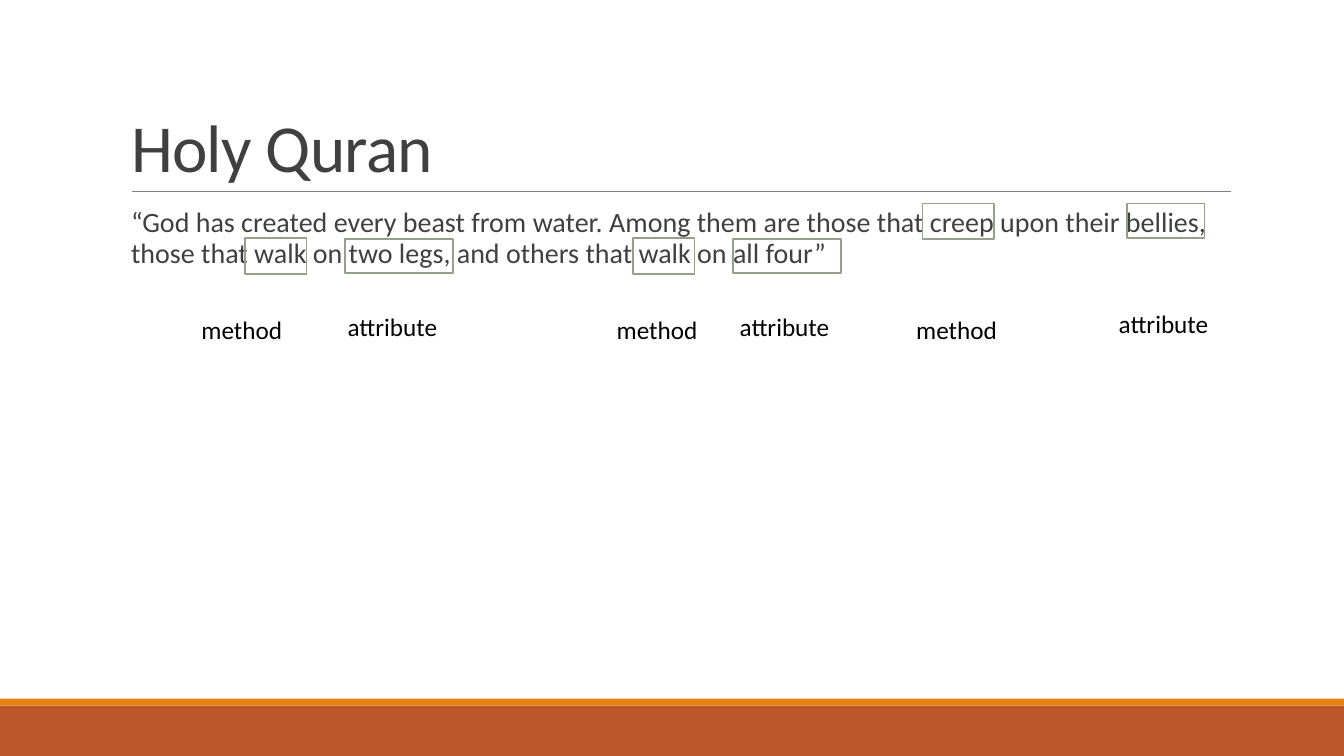
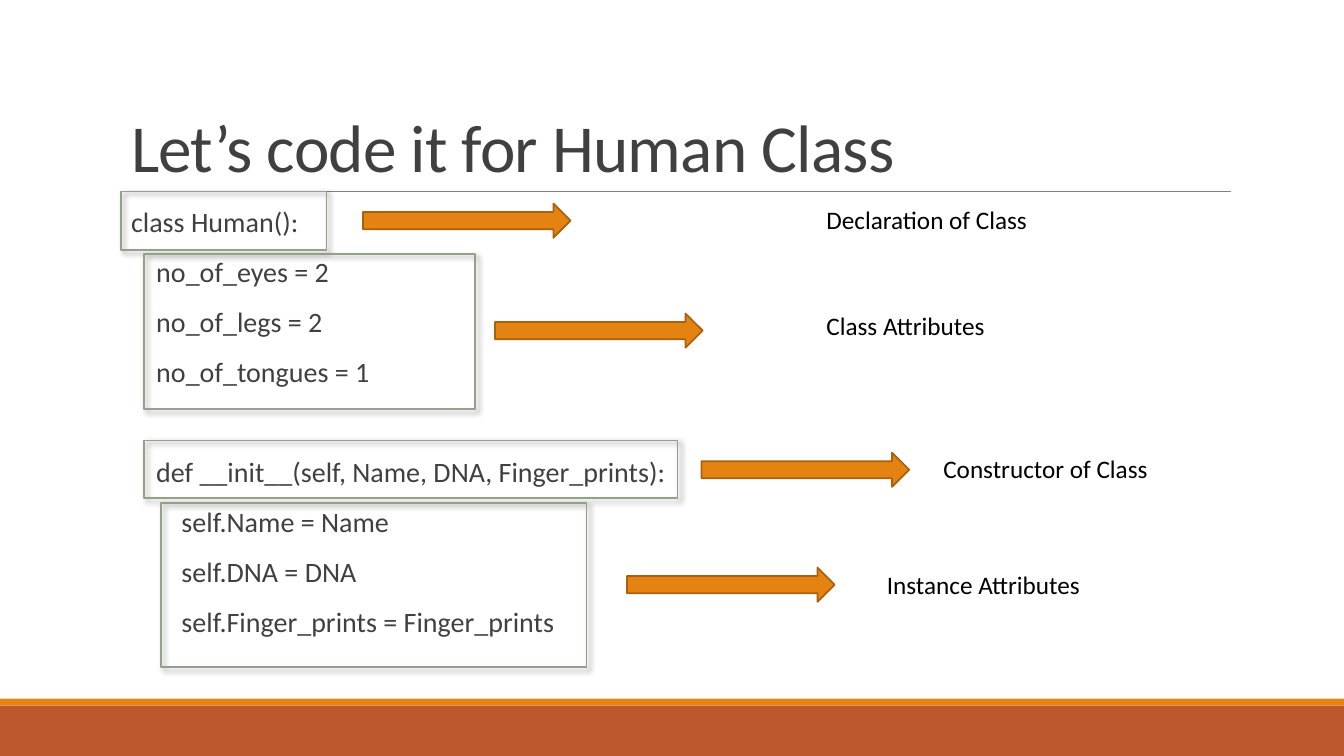
from dataclasses import dataclass
from typing import Any

from lxml import etree
from pptx import Presentation
from pptx.dml.color import RGBColor
from pptx.enum.shapes import MSO_CONNECTOR, MSO_SHAPE
from pptx.enum.text import MSO_ANCHOR, MSO_AUTO_SIZE, PP_ALIGN
from pptx.oxml.ns import qn
from pptx.util import Inches, Pt

RECT, ARROW = MSO_SHAPE.RECTANGLE, MSO_SHAPE.RIGHT_ARROW
LINE = MSO_CONNECTOR.STRAIGHT
LEFT = PP_ALIGN.LEFT
TOP, BOTTOM = MSO_ANCHOR.TOP, MSO_ANCHOR.BOTTOM
FIXED, GROW = MSO_AUTO_SIZE.NONE, MSO_AUTO_SIZE.SHAPE_TO_FIT_TEXT

# Shared style
WIDE, HIGH = Inches(13.33), Inches(7.5)
RUST, AMBER, BROWN = "BD582C", "E48312", "A9610D"
SAGE, GRAY, DARK, BLACK = "94A088", "808080", "404040", "000000"
FONT = "Calibri"
HEAD = {"alignment": LEFT, "line_spacing": 0.85}
LIST = {"alignment": LEFT, "line_spacing": 0.9,
        "space_before": Pt(12), "space_after": Pt(2)}
MARGIN, STEP = Inches(0.1), Inches(0.25)


def color(text):
    return RGBColor.from_string(text)


def apply(item, style):
    for name, value in style.items():
        setattr(item, name, value)


def place(x, y, w, h):
    """Turn percent shares of the slide into lengths."""
    return [round(part * size / 100)
            for part, size in zip((x, y, w, h), (WIDE, HIGH, WIDE, HIGH))]


@dataclass
class Deck:
    prs: Any
    slide: Any = None

    def start(self, title):
        """Add a slide with its title, bands and rule."""
        self.slide = self.prs.slides.add_slide(self.prs.slide_layouts[1])
        self.shape(RECT, (0, 93.33, 100, 6.67), RUST)
        self.shape(RECT, (0, 92.4, 100, 0.93), AMBER)
        self.rule(9.83, 91.58, 25.33)
        head = self.slide.shapes.title
        self.move(head, (9, 4.13, 82.5, 21.2))
        apply(head.text_frame, {"vertical_anchor": BOTTOM, "auto_size": FIXED})
        self.text(head.text_frame.paragraphs[0], title, 48, DARK, HEAD)
        for prop in head.element.iter(qn("a:rPr")):
            prop.set("spc", "-50")

    def move(self, shape, spot):
        apply(shape, dict(zip(("left", "top", "width", "height"), place(*spot))))

    def text(self, para, words, size, tint, style):
        run = para.add_run()
        run.text = words
        apply(run.font, {"name": FONT, "size": Pt(size)})
        run.font.color.rgb = color(tint)
        apply(para, style)

    def body(self, lines):
        """Fill the body with (indent level, words, space before) lines."""
        shape = self.slide.placeholders[1]
        self.move(shape, (9, 26.93, 82.5, 58.67))
        frame = shape.text_frame
        apply(frame, {"margin_left": 0, "margin_right": 0,
                      "vertical_anchor": TOP, "auto_size": FIXED})
        for pos, (level, words, gap) in enumerate(lines):
            para = frame.add_paragraph() if pos else frame.paragraphs[0]
            self.text(para, words, 20, DARK, LIST | {"space_before": Pt(gap)})
            prop = para._p.get_or_add_pPr()
            prop.set("marL", str(MARGIN + level * STEP))
            prop.set("indent", "0")
            etree.SubElement(prop, qn("a:buNone"))

    def shape(self, kind, spot, fill=None, edge=None):
        item = self.slide.shapes.add_shape(kind, *place(*spot))
        item.shadow.inherit = False
        if fill:
            item.fill.solid()
            item.fill.fore_color.rgb = color(fill)
        else:
            item.fill.background()
        if edge:
            item.line.color.rgb = color(edge)
            item.line.width = Pt(1.25)
        else:
            item.line.fill.background()
        return item

    def frame(self, spot, shade=False):
        """Outline a part of the text, with a soft shadow if asked."""
        item = self.shape(RECT, spot, edge=SAGE)
        if shade:
            effect = item.element.spPr.find(qn("a:effectLst"))
            cast = etree.SubElement(effect, qn("a:outerShdw"), {
                "blurRad": str(Pt(4)), "dist": str(Pt(3)),
                "dir": str(45 * 60000), "algn": "tl", "rotWithShape": "0"})
            tint = etree.SubElement(cast, qn("a:srgbClr"), val=BLACK)
            etree.SubElement(tint, qn("a:alpha"), val="40000")

    def arrow(self, x, y):
        self.shape(ARROW, (x, y, 15.45, 4.53), AMBER, BROWN)

    def rule(self, start, end, y):
        x, top, stop, _ = place(start, y, end, 0)
        line = self.slide.shapes.add_connector(LINE, x, top, stop, top)
        line.line.color.rgb = color(GRAY)
        line.line.width = Pt(0.5)
        etree.SubElement(line.element.spPr, qn("a:effectLst"))

    def label(self, words, x, y, w):
        box = self.slide.shapes.add_textbox(*place(x, y, w, 5.33))
        apply(box.text_frame, {"word_wrap": True, "auto_size": GROW})
        self.text(box.text_frame.paragraphs[0], words, 18, BLACK, {})


prs = Presentation()
apply(prs, {"slide_width": WIDE, "slide_height": HIGH})
deck = Deck(prs)

# Slide 1: verse with its methods and attributes
deck.start("Holy Quran")
deck.body([(0, "“God has created every beast from water. Among them are those "
               "that creep upon their bellies, those that walk on two legs, "
               "and others that walk on all four”", 12)])
for x in (25.65, 54.53):
    deck.frame((x, 31.6, 8.03, 4.53))
for x in (18.23, 47.1):
    deck.frame((x, 31.47, 4.58, 4.8))
deck.frame((68.63, 26.93, 5.33, 4.67))
deck.frame((83.85, 26.93, 5.78, 4.53))
for x in (14.25, 45.15, 67.43):
    deck.label("method", x, 40.93, 8.63)
for x, y in ((25.13, 40.53), (54.3, 40.53), (82.5, 40.13)):
    deck.label("attribute", x, y, 8.63)

# Slide 2: class code with its parts named
deck.start("Let’s code it for Human Class")
deck.body([
    (0, "class Human():", 12),
    (1, "no_of_eyes = 2", 12),
    (1, "no_of_legs = 2", 12),
    (1, "no_of_tongues = 1", 12),
    (1, "def __init__(self, Name, DNA, Finger_prints):", 48),
    (2, "self.Name = Name", 12),
    (2, "self.DNA = DNA", 12),
    (2, "self.Finger_prints = Finger_prints", 12),
])
# Each part: code frame, arrow place, label and its place
PARTS = [
    ((9, 25.33, 15.3, 7.73), (27, 26.93),
     "Declaration of Class", (60.75, 26.4)),
    ((10.73, 33.6, 24.6, 20.53), (36.83, 41.47),
     "Class Attributes", (60.75, 40.4)),
    ((10.73, 58.27, 39.68, 7.6), (52.2, 59.87),
     "Constructor of Class", (69.45, 59.33)),
    ((12, 66.53, 31.65, 21.73), (46.65, 75.07),
     "Instance Attributes", (65.25, 74.67)),
]
for code, tip, name, spot in PARTS:
    deck.frame(code, shade=True)
    deck.arrow(*tip)
    deck.label(name, *spot, 17.33)

prs.save("out.pptx")
